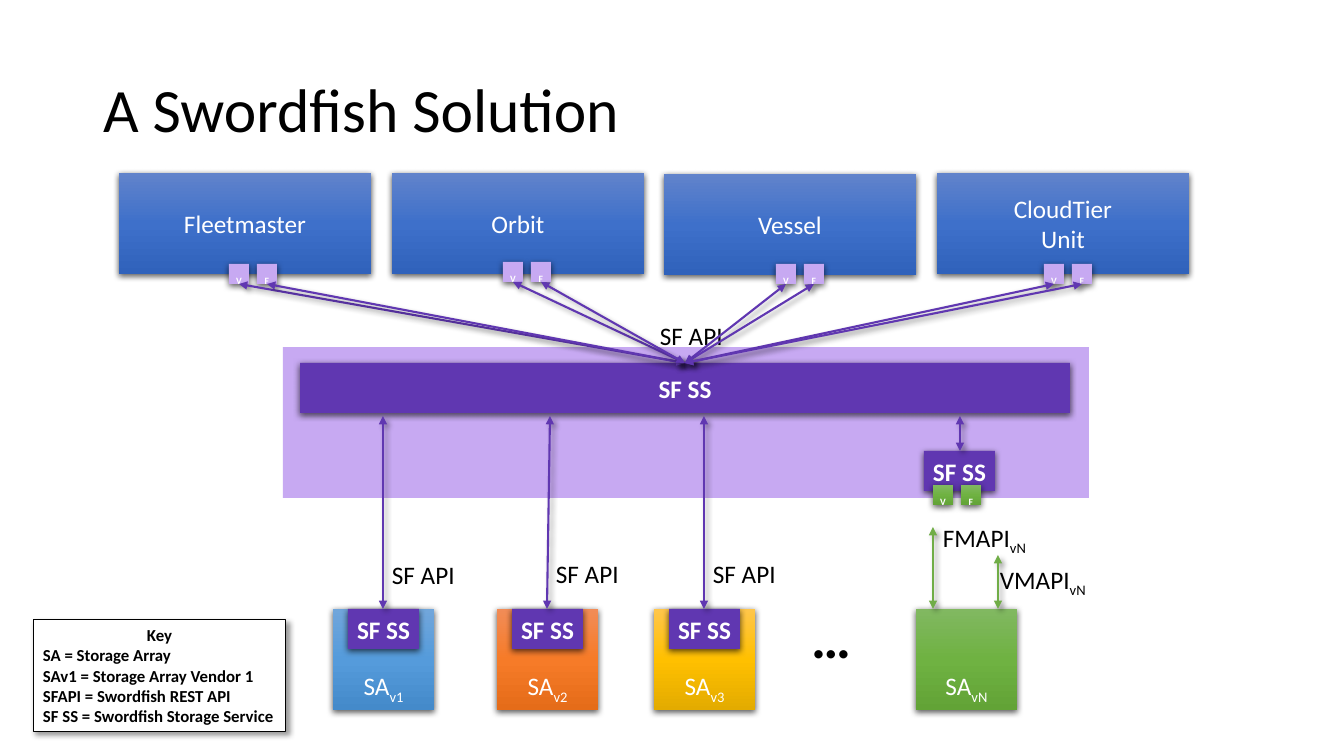
from pptx import Presentation
from pptx.dml.color import RGBColor
from pptx.enum.shapes import MSO_CONNECTOR, MSO_SHAPE
from pptx.enum.text import MSO_ANCHOR, MSO_AUTO_SIZE, PP_ALIGN
from pptx.oxml import parse_xml
from pptx.oxml.ns import nsdecls
from pptx.util import Emu, Pt

SCALE = 914400 / 100.8
FONT = "Calibri"
BLACK = RGBColor(0x00, 0x00, 0x00)
WHITE = RGBColor(0xFF, 0xFF, 0xFF)
PURPLE = RGBColor(0x60, 0x37, 0xB1)
LILAC = RGBColor(0xC7, 0xA9, 0xF2)
LEAF = RGBColor(0x70, 0xAD, 0x47)

# Gradients: top, middle and bottom colour
NAVY = [RGBColor(0x61, 0x83, 0xCB), RGBColor(0x3E, 0x70, 0xCA), RGBColor(0x30, 0x62, 0xBB)]
BLUE = [RGBColor(0x71, 0xA6, 0xDB), RGBColor(0x55, 0x9B, 0xDB), RGBColor(0x44, 0x8A, 0xCA)]
ORANGE = [RGBColor(0xF1, 0x8C, 0x57), RGBColor(0xF6, 0x7B, 0x28), RGBColor(0xE5, 0x6C, 0x19)]
GOLD = [RGBColor(0xFF, 0xC6, 0x4B), RGBColor(0xFF, 0xC0, 0x00), RGBColor(0xE3, 0xAB, 0x00)]
GREEN = [RGBColor(0x81, 0xB8, 0x61), RGBColor(0x6F, 0xB2, 0x42), RGBColor(0x62, 0xA3, 0x36)]

# Shadows: opacity %, blur pt, distance pt, angle
DROP = (63, 4.5, 1.5, 90)
SOFT = (40, 4, 3, 45)

PORT = 20
HUB = (685, 363)


def px(*nums):
    return [Emu(round(n * SCALE)) for n in nums]


def shade(item, look):
    """Give a shape or connector its outer shadow."""
    alpha, blur, dist, angle = look
    item._element.spPr.append(parse_xml(
        f'<a:effectLst {nsdecls("a")}><a:outerShdw blurRad="{Pt(blur)}" '
        f'dist="{Pt(dist)}" dir="{angle * 60000}" algn="ctr" rotWithShape="0">'
        f'<a:srgbClr val="000000"><a:alpha val="{alpha * 1000}"/></a:srgbClr>'
        '</a:outerShdw></a:effectLst>'))


def blend(shape, tones):
    """Fill a shape with an even gradient from top to bottom."""
    stops = "".join(f'<a:gs pos="{i * 50000}"><a:srgbClr val="{tone}"/></a:gs>'
                    for i, tone in enumerate(tones))
    shape._element.spPr.insert(2, parse_xml(
        f'<a:gradFill {nsdecls("a")} rotWithShape="1"><a:gsLst>{stops}</a:gsLst>'
        '<a:lin ang="5400000" scaled="0"/></a:gradFill>'))


def write(shape, text, size=18, color=BLACK, bold=False, align=PP_ALIGN.LEFT,
          anchor=MSO_ANCHOR.TOP, wrap=True, grow=False, pad=None, space=None):
    """Write lines of text; what follows an underscore is subscript."""
    frame = shape.text_frame
    frame.word_wrap = wrap
    frame.vertical_anchor = anchor
    if grow:
        frame.auto_size = MSO_AUTO_SIZE.SHAPE_TO_FIT_TEXT
    if pad:
        (frame.margin_left, frame.margin_top,
         frame.margin_right, frame.margin_bottom) = px(*pad)
    for i, line in enumerate(text.split("\n")):
        para = frame.add_paragraph() if i else frame.paragraphs[0]
        para.alignment = align
        para.line_spacing = space
        for j, part in enumerate(line.split("_")):
            if not part:
                continue
            run = para.add_run()
            run.text = part
            run.font.name = FONT
            run.font.size = Pt(size)
            run.font.bold = bold
            run.font.color.rgb = color
            if j:
                run._r.get_or_add_rPr().set("baseline", "-25000")


def box(slide, area, fill, text="", edge=None, look=DROP, **form):
    shape = slide.shapes.add_shape(MSO_SHAPE.RECTANGLE, *px(*area))
    if isinstance(fill, list):
        blend(shape, fill)
    else:
        shape.fill.solid()
        shape.fill.fore_color.rgb = fill
    if edge is None:
        shape.line.fill.background()
    else:
        shape.line.color.rgb = edge
        shape.line.width = Pt(0.75)
    if look:
        shade(shape, look)
    else:
        shape.shadow.inherit = False
    if text:
        write(shape, text, **form)
    return shape


def label(slide, area, text, **form):
    write(slide.shapes.add_textbox(*px(*area)), text, wrap=False, grow=True, **form)


def link(slide, start, end, color=PURPLE):
    """Draw a two-headed arrow."""
    line = slide.shapes.add_connector(MSO_CONNECTOR.STRAIGHT, *px(*start, *end))
    line.line.color.rgb = color
    line.line.width = Pt(1.5)
    for tip in ("headEnd", "tailEnd"):
        line.line._ln.append(parse_xml(f'<a:{tip} {nsdecls("a")} type="triangle"/>'))
    shade(line, SOFT)


def service(slide, area):
    box(slide, area, PURPLE, "SF SS", color=WHITE, bold=True, align=PP_ALIGN.CENTER,
        anchor=MSO_ANCHOR.MIDDLE, wrap=False, pad=(0, 0, 0, 0))


def ports(slide, left, top, fill):
    """Add the V and F ports; return the foot of each."""
    feet = []
    for i, name in enumerate("VF"):
        x = left + 28 * i
        box(slide, (x, top, PORT, PORT), fill, "_" + name, size=12, color=WHITE,
            bold=True, align=PP_ALIGN.CENTER, wrap=False, pad=(10, 0, 10, 5))
        feet.append((x + PORT // 2, top + PORT))
    return feet


def array(slide, left, fill, name):
    box(slide, (left, 609, 101, 101), fill, "SA_" + name, color=WHITE,
        align=PP_ALIGN.CENTER, anchor=MSO_ANCHOR.BOTTOM)


def main():
    deck = Presentation()
    deck.slide_width, deck.slide_height = px(1344, 756)
    slide = deck.slides.add_slide(deck.slide_layouts[5])

    # Title
    title = slide.shapes.title
    title.left, title.top, title.width, title.height = px(93, 40, 1159, 146)
    write(title, "A Swordfish Solution", size=44, anchor=MSO_ANCHOR.MIDDLE, space=0.9)

    # Storage service layer
    box(slide, (283, 347, 806, 151), LILAC, look=None)
    service(slide, (300, 363, 770, 50))
    label(slide, (650, 315, 84, 40), "SF API")

    # Orchestrators, their ports and links to the hub
    tools = [("Fleetmaster", 173, 229, 264), ("Orbit", 173, 503, 262),
             ("Vessel", 174, 776, 264), ("CloudTier\nUnit", 173, 1044, 264)]
    feet = []
    for i, (name, top, left, port) in enumerate(tools):
        box(slide, (round(119 + 272.67 * i), top, 252, 101), NAVY, name, color=WHITE,
            align=PP_ALIGN.CENTER, anchor=MSO_ANCHOR.MIDDLE)
        feet += ports(slide, left, port, LILAC)
    for foot in feet:
        link(slide, HUB, foot)

    # Arrays with their own service
    arrays = [(333, BLUE, "v1", 383, 554), (497, ORANGE, "v2", 550, 553),
              (654, GOLD, "v3", 704, 553)]
    for left, fill, name, end, top in arrays:
        array(slide, left, fill, name)
        service(slide, (left + 15, 609, 71, 40))
        link(slide, (left + 50, 609), (end, 416))
        label(slide, (left + 49, top, 84, 40), "SF API")
    label(slide, (802, 598, 60, 78), "…", size=40, bold=True)

    # Array reached through vendor interfaces
    array(slide, 916, GREEN, "vN")
    service(slide, (924, 451, 71, 40))
    ports(slide, 933, 485, GREEN)
    link(slide, (960, 451), (960, 416))
    link(slide, (998, 609), (998, 555), LEAF)
    link(slide, (933, 609), (933, 527), LEAF)
    label(slide, (990, 559, 109, 40), "VMAPI_vN")
    label(slide, (933, 517, 107, 40), "FMAPI_vN")

    # Key
    key = box(slide, (33, 620, 253, 112), WHITE,
              "Key\nSA = Storage Array\nSAv1 = Storage Array Vendor 1\n"
              "SFAPI = Swordfish REST API\nSF SS = Swordfish Storage Service",
              edge=BLACK, look=SOFT, size=12, bold=True, wrap=False, grow=True)
    key.text_frame.paragraphs[0].alignment = PP_ALIGN.CENTER

    deck.save("out.pptx")


main()
